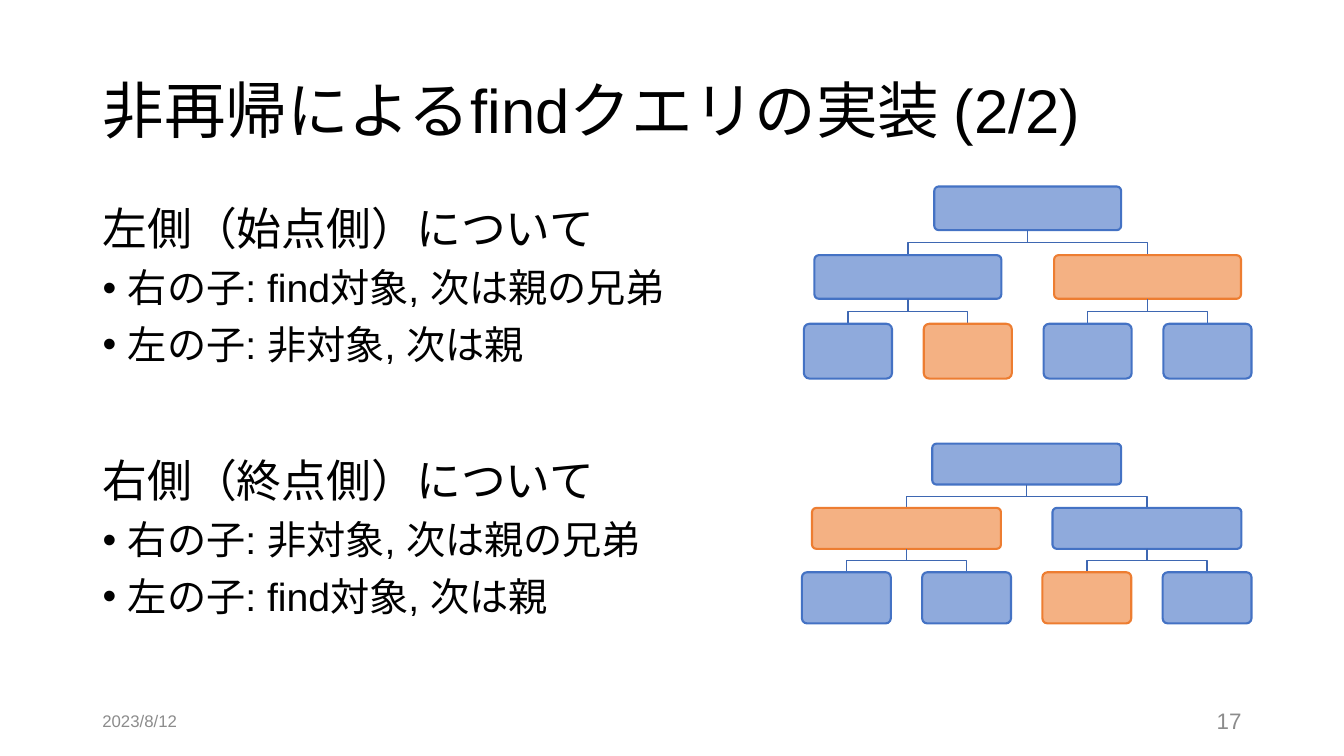
from pptx import Presentation
from pptx import util as u
from pptx.dml.color import RGBColor
from pptx.enum import lang, shapes, text
from pptx.oxml import parse_xml
from pptx.oxml.ns import nsdecls

BLUE = ("8FAADC", "4472C4")
ORANGE = ("F4B183", "ED7D31")
LINK = "3E67B2"
BLACK, GREY = "000000", "8C8C8C"


def rgb(value):
    return RGBColor.from_string(value)


class SlideBuilder:
    def __init__(self, slide, font):
        self.s = slide
        self.font = font

    def place(self, sp, left, top, width, height):
        box = dict(left=left, top=top, width=width, height=height)
        for name, value in box.items():
            setattr(sp, name, u.Cm(value))

    def frame(self, sp, anchor):
        tf = sp.text_frame
        values = dict(word_wrap=True, auto_size=text.MSO_AUTO_SIZE.NONE,
                      vertical_anchor=anchor)
        for name, value in values.items():
            setattr(tf, name, value)
        return tf

    def add_words(self, p, words, size, color, **layout):
        for name, value in layout.items():
            setattr(p, name, value)
        r = p.add_run()
        r.text = words
        values = dict(name=self.font, size=u.Pt(size),
                      language_id=lang.MSO_LANGUAGE_ID.JAPANESE)
        for name, value in values.items():
            setattr(r.font, name, value)
        r.font.color.rgb = rgb(color)

    def bullet(self, p, shown):
        pPr = p._p.get_or_add_pPr()
        indent = u.Cm(0.64) if shown else 0
        pPr.set("marL", str(indent))
        pPr.set("indent", str(-indent))
        marks = ['buFont {} typeface="Arial"', 'buChar {} char="•"'] if shown else ["buNone {}"]
        for mark in marks:
            pPr.append(parse_xml(f"<a:{mark.format(nsdecls('a'))}/>"))

    def title(self, words, *box):
        sp = self.s.shapes.title
        self.place(sp, *box)
        tf = self.frame(sp, text.MSO_ANCHOR.MIDDLE)
        self.add_words(tf.paragraphs[0], words, 44, BLACK,
                       alignment=text.PP_ALIGN.LEFT, line_spacing=0.9)

    def body(self, idx, heading, items, *box):
        sp = self.s.placeholders[idx]
        self.place(sp, *box)
        tf = self.frame(sp, text.MSO_ANCHOR.TOP)
        for i, words in enumerate([heading, *items]):
            p = tf.add_paragraph() if i else tf.paragraphs[0]
            self.bullet(p, i > 0)
            self.add_words(p, words, 28 if i else 32, BLACK, line_spacing=0.9,
                           space_before=u.Pt(10 if i else 0))

    def label(self, words, size, align, *box):
        sp = self.s.shapes.add_textbox(*map(u.Cm, box))
        tf = self.frame(sp, text.MSO_ANCHOR.MIDDLE)
        self.add_words(tf.paragraphs[0], words, size, GREY, alignment=align)

    def node(self, colors, center, top, width, height):
        sp = self.s.shapes.add_shape(shapes.MSO_SHAPE.ROUNDED_RECTANGLE,
                                     *map(u.Cm, (center - width / 2, top, width, height)))
        sp.adjustments[0] = 0.1
        sp.shadow.inherit = False
        sp.fill.solid()
        sp.fill.fore_color.rgb = rgb(colors[0])
        sp.line.color.rgb = rgb(colors[1])
        sp.line.width = u.Pt(1.5)

    def link(self, x1, y1, x2, y2):
        middle = (y1 + y2) / 2
        fb = self.s.shapes.build_freeform(u.Cm(x1), u.Cm(y1))
        corners = [(x1, middle), (x2, middle), (x2, y2)]
        fb.add_line_segments([(u.Cm(x), u.Cm(y)) for x, y in corners], close=False)
        sp = fb.convert_to_shape()
        sp.shadow.inherit = False
        sp.fill.background()
        sp.line.color.rgb = rgb(LINK)
        sp.line.width = u.Pt(1)

    def tree(self, found, first, pitch, top, step, inner, leaf):
        """Three levels; found holds (level, position) of the orange nodes."""
        leaves = [first + pitch * i for i in range(4)]
        pairs = [(leaves[i] + leaves[i + 1]) / 2 for i in (0, 2)]
        levels = [[sum(pairs) / 2], pairs, leaves]
        for depth, centers in enumerate(levels):
            y = top + step * depth
            for i, x in enumerate(centers):
                if depth:
                    self.link(levels[depth - 1][i // 2], y - step + inner[1], x, y)
                colors = ORANGE if (depth, i) in found else BLUE
                self.node(colors, x, y, *(leaf if depth == 2 else inner))


def main():
    prs = Presentation()
    prs.slide_width, prs.slide_height = u.Cm(33.87), u.Cm(19.05)
    b = SlideBuilder(prs.slides.add_slide(prs.slide_layouts[3]), "Arial")

    # Title and lists
    b.title("非再帰によるfindクエリの実装 (2/2)", 2.33, 1.01, 29.21, 3.68)
    b.body(1, "左側（始点側）について",
           ["右の子: find対象, 次は親の兄弟", "左の子: 非対象, 次は親"],
           2.33, 5.08, 18.26, 4.83)
    b.body(2, "右側（終点側）について",
           ["右の子: 非対象, 次は親の兄弟", "左の子: find対象, 次は親"],
           2.33, 11.43, 18.26, 4.52)

    # Trees for the left and right ends
    b.tree({(1, 1), (2, 1)}, 21.37, 3.02, 4.7, 1.73, (4.71, 1.1), (2.22, 1.38))
    b.tree({(1, 0), (2, 2)}, 21.33, 3.03, 11.18, 1.62, (4.76, 1.03), (2.24, 1.29))

    # Date and page number
    b.label("2023/8/12", 12, text.PP_ALIGN.LEFT, 2.33, 17.66, 7.62, 1.01)
    b.label("17", 16, text.PP_ALIGN.RIGHT, 23.92, 17.66, 7.62, 1.01)

    prs.save("out.pptx")


if __name__ == "__main__":
    main()
